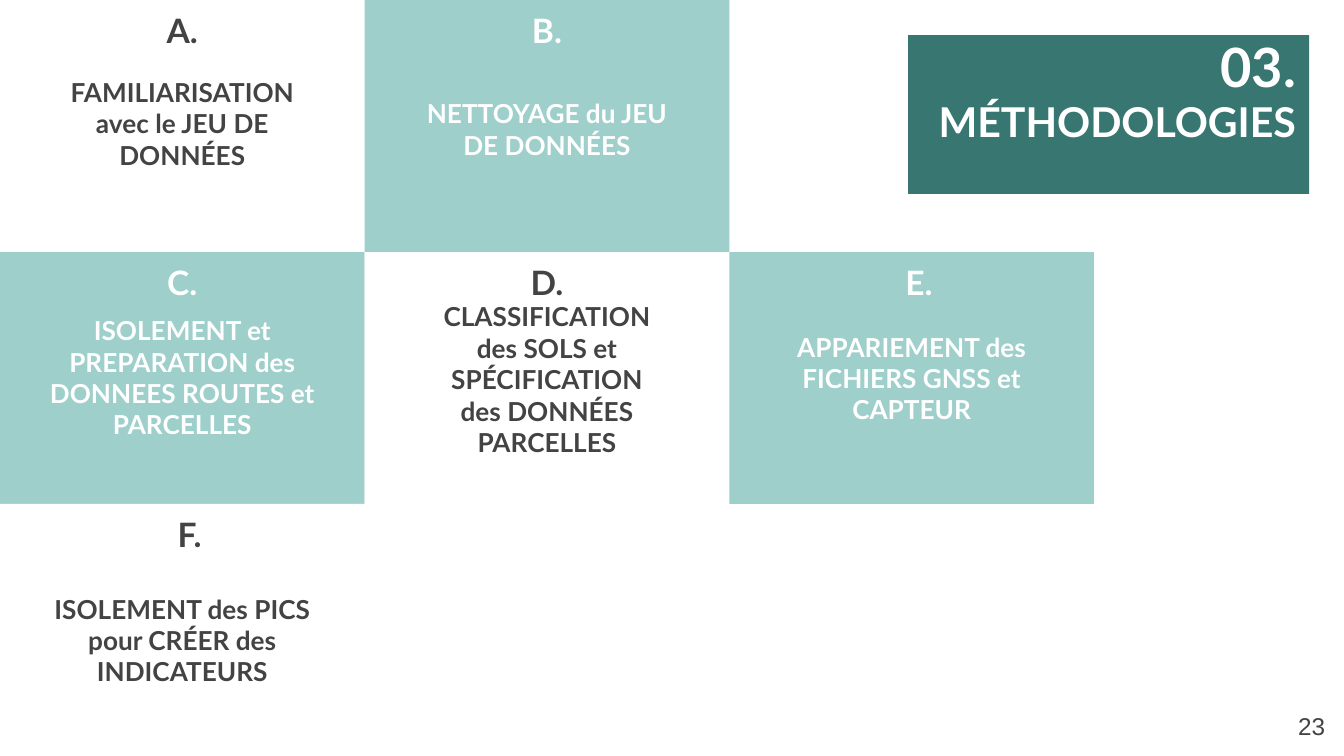
from pptx import Presentation
from pptx import util as u
from pptx.dml import color
from pptx.enum import shapes, text

COLOURS = {"mint": "9ECFCB", "teal": "387771", "white": "FFFFFF", "dark": "434343"}
WIDTH = 10
HEIGHT = WIDTH * 9 / 16
COLUMN, ROW = 8.14 / 3, HEIGHT / 3
CENTRE, RIGHT, LEFT = text.PP_ALIGN.CENTER, text.PP_ALIGN.RIGHT, text.PP_ALIGN.LEFT
TOP, MIDDLE, BOTTOM = text.MSO_ANCHOR.TOP, text.MSO_ANCHOR.MIDDLE, text.MSO_ANCHOR.BOTTOM


def rgb(name):
    return color.RGBColor.from_string(COLOURS[name])


def write(shape, words, size=14, colour="dark", font="Lato", bold=True,
          align=CENTRE, anchor=TOP, wrap=True):
    frame = shape.text_frame
    frame.word_wrap = wrap
    frame.vertical_anchor = anchor
    frame.margin_left = frame.margin_right = u.Inches(0.1)
    frame.margin_top = frame.margin_bottom = u.Inches(0.1)
    paragraph = frame.paragraphs[0]
    paragraph.alignment = align
    run = paragraph.add_run()
    run.text = words
    run.font.name, run.font.size, run.font.bold = font, u.Pt(size), bold
    run.font.color.rgb = rgb(colour)


class Board:
    """Places elements in columns and rows of the checkerboard."""

    def __init__(self, slide):
        self.slide = slide

    def place(self, column, row, columns, rows):
        return (u.Inches(column * COLUMN), u.Inches(row * ROW),
                u.Inches(columns * COLUMN), u.Inches(rows * ROW))

    def panel(self, column, row, columns=1, rows=1, fill="mint"):
        shape = self.slide.shapes.add_shape(
            shapes.MSO_SHAPE.RECTANGLE, *self.place(column, row, columns, rows))
        shape.shadow.inherit = False
        shape.fill.solid()
        shape.fill.fore_color.rgb = rgb(fill)
        shape.line.fill.background()

    def label(self, words, column, row, columns, rows, **style):
        shape = self.slide.shapes.add_textbox(*self.place(column, row, columns, rows))
        write(shape, words, **style)

    def step(self, letter, words, column, row, fill, top, width, height, shift=0):
        colour = "white" if fill == "mint" else "dark"
        if fill:
            self.panel(column, row, fill=fill)
        self.label(words, column + (1 - width) / 2, row + top, width, height,
                   colour=colour, anchor=BOTTOM)
        self.label(letter + ".", column + 0.415 + shift, row, 0.17, 0.24,
                   size=18, colour=colour, anchor=MIDDLE, wrap=False)


# letter, words, column, row, fill, text top, text width, text height, letter shift
STEPS = [
    ("A", "FAMILIARISATION avec le JEU DE DONNÉES", 0, 0, None, 0.27, 0.71, 0.46),
    ("B", "NETTOYAGE du JEU DE DONNÉES", 1, 0, "mint", 0.31, 0.84, 0.38),
    ("C", "ISOLEMENT et PREPARATION des DONNEES ROUTES et PARCELLES",
     0, 1, "mint", 0.2, 0.84, 0.6),
    ("D", "CLASSIFICATION des SOLS et SPÉCIFICATION des DONNÉES PARCELLES",
     1, 1, "white", 0.16, 0.71, 0.71),
    ("E", "APPARIEMENT des FICHIERS GNSS et CAPTEUR",
     2, 1, "mint", 0.28, 0.84, 0.46, 0.02),
    ("F", "ISOLEMENT des PICS pour CRÉER des INDICATEURS",
     0, 2, "white", 0.32, 0.84, 0.46, 0.02),
]


def main():
    presentation = Presentation()
    presentation.slide_width = u.Inches(WIDTH)
    presentation.slide_height = u.Inches(HEIGHT)
    board = Board(presentation.slides.add_slide(presentation.slide_layouts[6]))

    # Checkerboard of steps
    for step in STEPS:
        board.step(*step)

    # Section heading
    board.panel(2.49, 0.14, 1.1, 0.63, fill="teal")
    board.label("MÉTHODOLOGIES", 2.49, 0.33, 1.1, 0.44,
                size=22, colour="white", align=RIGHT)
    board.label("03.", 3.31, 0.08, 0.37, 0.34, size=29, colour="white", align=LEFT)

    # Page number
    board.label("23", 3.45, 2.77, 0.22, 0.23,
                size=13, font="Arial", bold=False, align=RIGHT)

    presentation.save("out.pptx")


if __name__ == "__main__":
    main()
